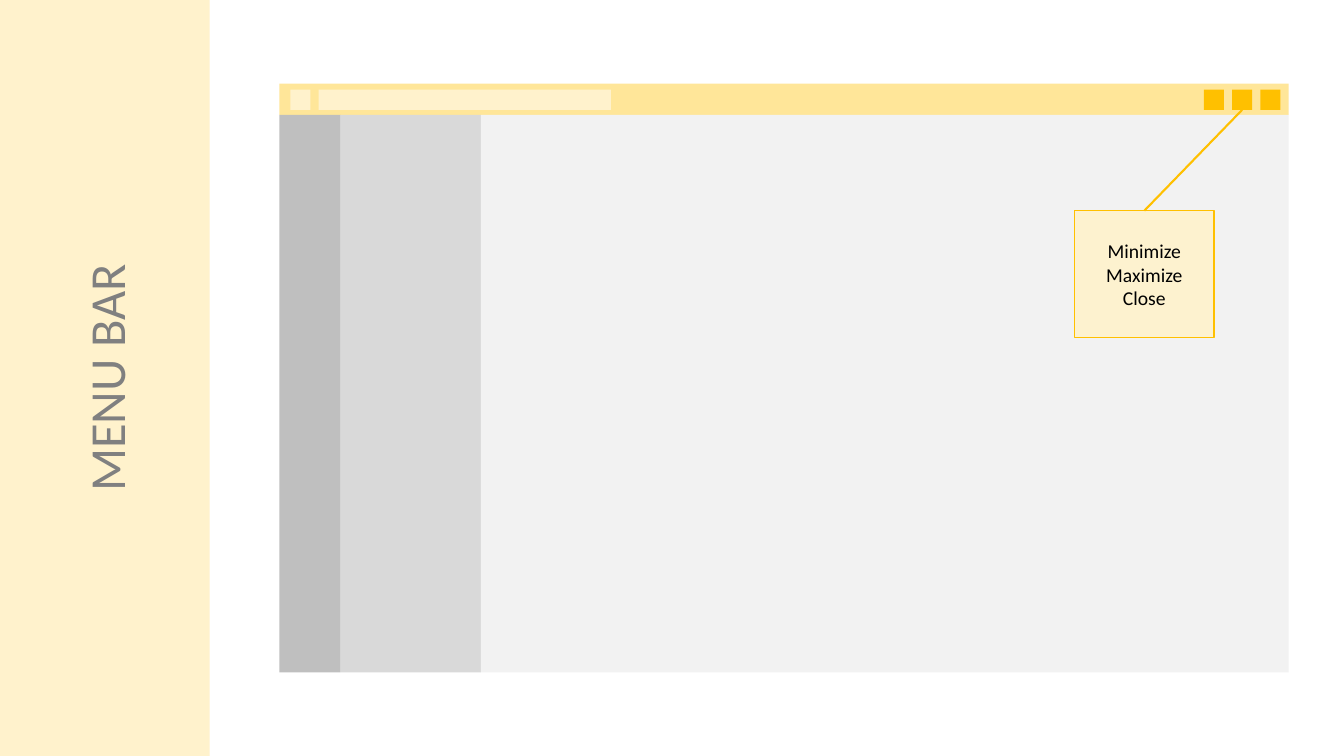
from lxml import etree
from pptx import Presentation
from pptx.dml.color import RGBColor
from pptx.enum.shapes import MSO_CONNECTOR, MSO_SHAPE
from pptx.enum.text import MSO_ANCHOR, PP_ALIGN
from pptx.oxml.ns import qn
from pptx.util import Inches, Pt

CREAM, PALE_GOLD, GOLD = "FFF2CC", "FFE699", "FFC000"

prs = Presentation()
prs.slide_width, prs.slide_height = Inches(13.33), Inches(7.5)
slide = prs.slides.add_slide(prs.slide_layouts[6])


def paint(color_format, color):
    color_format.rgb = RGBColor.from_string(color)


def add_box(left, top, width, height, fill, lines=(), size=14, color="000000"):
    box = slide.shapes.add_shape(
        MSO_SHAPE.RECTANGLE, Inches(left), Inches(top), Inches(width), Inches(height))
    box.shadow.inherit = False
    box.fill.solid()
    paint(box.fill.fore_color, fill)
    box.line.fill.background()
    frame = box.text_frame
    frame.word_wrap = True
    frame.vertical_anchor = MSO_ANCHOR.MIDDLE
    for i, line in enumerate(lines):
        paragraph = frame.paragraphs[0] if i == 0 else frame.add_paragraph()
        paragraph.alignment = PP_ALIGN.CENTER
        run = paragraph.add_run()
        run.text = line
        run.font.name, run.font.size = "Calibri", Pt(size)
        paint(run.font.color, color)
    return box


window_left, window_top, window_width = 2.77, 0.83, 10.01
bar_height, body_height = 0.31, 5.53
add_box(window_left, window_top, window_width, bar_height, PALE_GOLD)

pane_left = window_left
for pane_width, pane_fill in [(0.61, "BFBFBF"), (1.39, "D9D9D9"), (8.01, "F2F2F2")]:
    add_box(pane_left, window_top + bar_height, pane_width, body_height, pane_fill)
    pane_left += pane_width

sidebar = add_box(0, 0, 2.08, 7.5, CREAM, ["MENU BAR"], 36, "808080")
sidebar.text_frame._txBody.bodyPr.set("vert", "vert270")

button, pitch, button_top = 0.2, 0.28, 0.89
icon_left, first_button = 2.88, 11.94
add_box(icon_left, button_top, button, button, CREAM)
add_box(icon_left + pitch, button_top, 2.9, button, CREAM)
for i in range(3):
    add_box(first_button + i * pitch, button_top, button, button, GOLD)

note_left, note_top, note_width = 10.66, 2.09, 1.38
note = add_box(note_left, note_top, note_width, 1.26, CREAM,
               ["Minimize", "Maximize", "Close"])
paint(note.line.color, GOLD)
note.line.width = Pt(1)
note_color = note._element.spPr.find(qn("a:solidFill")).find(qn("a:srgbClr"))
etree.SubElement(note_color, qn("a:alpha")).set("val", "90000")

leader = slide.shapes.add_connector(
    MSO_CONNECTOR.STRAIGHT,
    Inches(first_button + pitch + button / 2), Inches(button_top + button),
    Inches(note_left + note_width / 2), Inches(note_top))
paint(leader.line.color, GOLD)
leader.line.width = Pt(1.5)
etree.SubElement(leader._element.spPr, qn("a:effectLst"))

prs.save("out.pptx")
